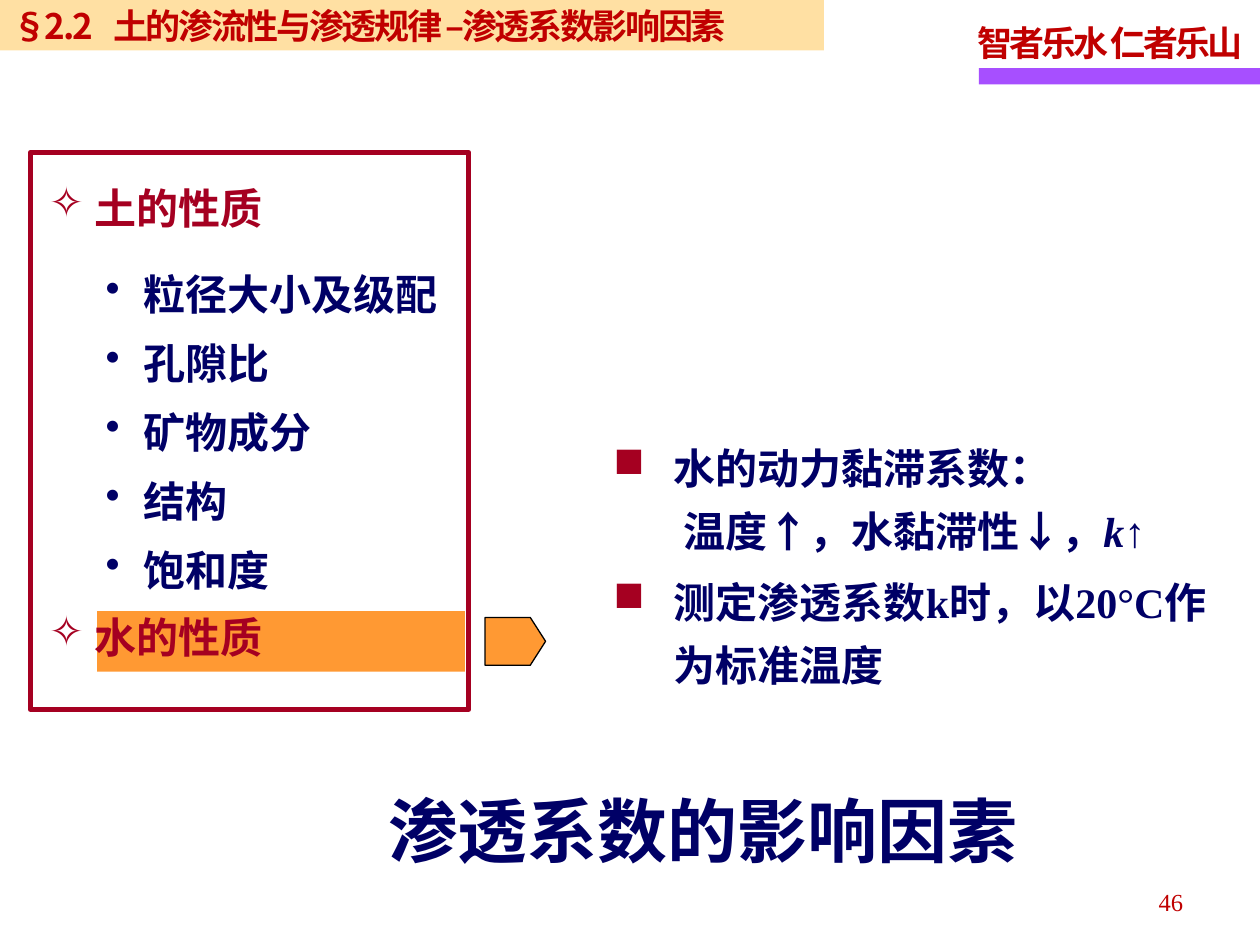
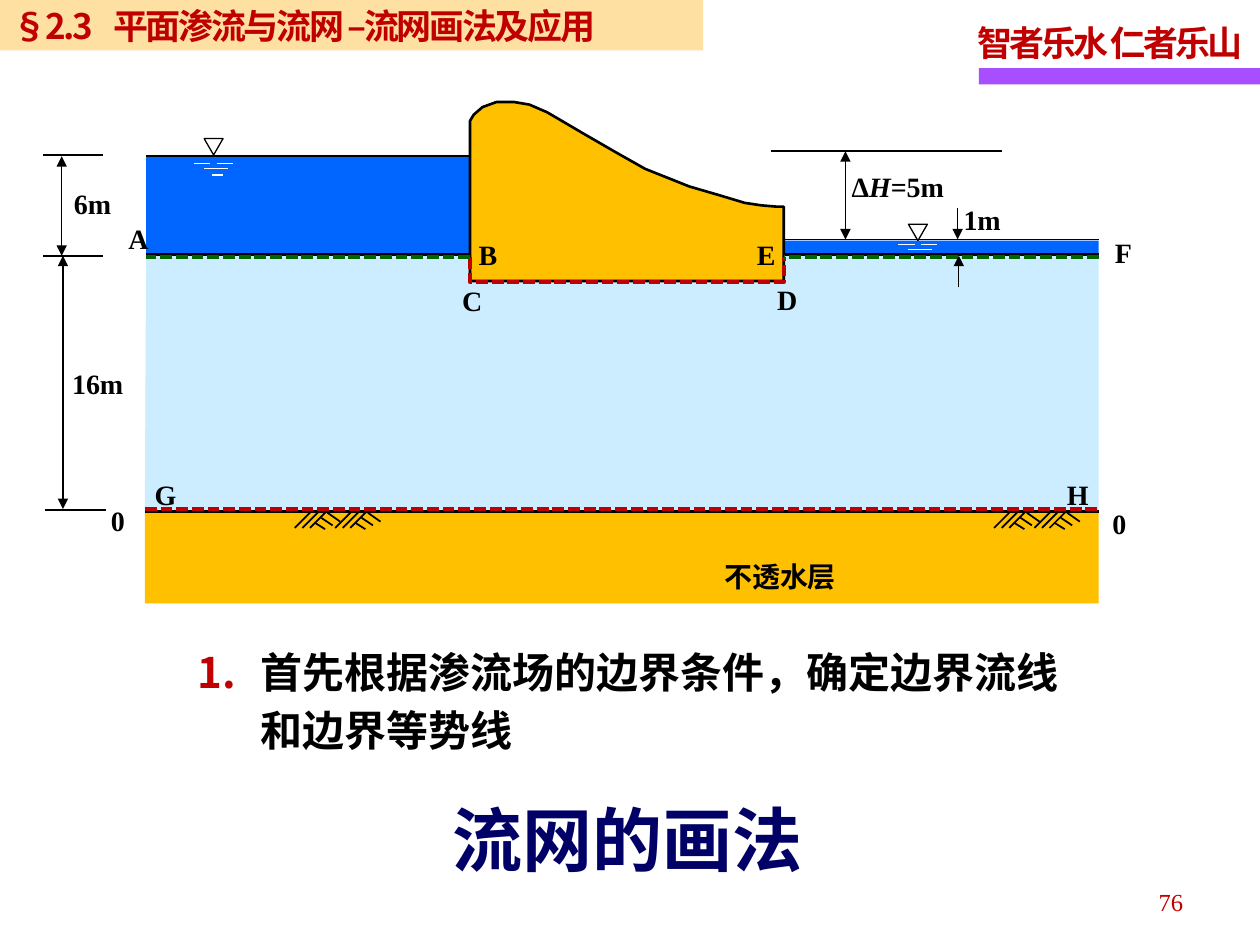
from dataclasses import dataclass
from typing import Any

from lxml import etree
from pptx import Presentation
from pptx.dml.color import RGBColor
from pptx.enum.dml import MSO_LINE
from pptx.enum.shapes import MSO_CONNECTOR, MSO_SHAPE
from pptx.enum.text import MSO_ANCHOR, MSO_AUTO_SIZE, PP_ALIGN
from pptx.oxml.ns import qn
from pptx.util import Inches, Pt

RECTANGLE, TRIANGLE, PENTAGON = MSO_SHAPE.RECTANGLE, MSO_SHAPE.ISOSCELES_TRIANGLE, MSO_SHAPE.PENTAGON
STRAIGHT, DASHED = MSO_CONNECTOR.STRAIGHT, MSO_LINE.SQUARE_DOT
LEFT, CENTER, RIGHT = PP_ALIGN.LEFT, PP_ALIGN.CENTER, PP_ALIGN.RIGHT
TOP, MIDDLE = MSO_ANCHOR.TOP, MSO_ANCHOR.MIDDLE
NO_AUTOFIT = MSO_AUTO_SIZE.NONE

SERIF, SANS = "Times New Roman", "Noto Sans CJK SC"
NAVY, RED, CRIMSON, PURPLE = "000066", "C00000", "A50021", "A74FFF"
CREAM, ORANGE, BLACK, WHITE = "FFCC66", "FF9933", "000000", "FFFFFF"
WATER, SOIL, ROCK, GREEN = "0066FF", "CCECFF", "FFC000", "006600"
CJK_LINE = 1.2


def rgb(value):
    """Turn a hex string into a colour."""
    return RGBColor.from_string(value)


def child(parent, tag, **attributes):
    """Append a drawing element with the given attributes."""
    return etree.SubElement(parent, qn(tag), attributes)


def set_bullet(paragraph, bullet, color, hang):
    """Give a paragraph a hanging bullet, or a number when the bullet is '1.'."""
    properties = paragraph._p.get_or_add_pPr()
    properties.set("marL", str(Inches(hang)))
    properties.set("indent", str(-Inches(hang)))
    if color:
        child(child(properties, "a:buClr"), "a:srgbClr", val=color)
    if bullet == "1.":
        child(properties, "a:buFont", typeface=SANS)
        child(properties, "a:buAutoNum", type="arabicPeriod")
    else:
        child(properties, "a:buChar", char=bullet)


def add_run(paragraph, text, size, color, font=SERIF, bold=True, italic=False, tracking=0):
    """Add one formatted run."""
    run = paragraph.add_run()
    run.text = text
    run.font.size, run.font.bold, run.font.italic = Pt(size), bold, italic
    run.font.color.rgb = rgb(color)
    run.font.name = font
    properties = run._r.get_or_add_rPr()
    child(properties, "a:ea", typeface=SANS)
    if tracking:
        properties.set("spc", str(int(tracking * 100)))


def fill_text(frame, paragraphs, size, color, align=LEFT, spacing=None, gap=0, bullet=None,
              bullet_color=None, hang=0, wrap=True, anchor=TOP, side=0.1, **style):
    """Fill a frame; a paragraph is a list of strings, '*' marks italics, a newline breaks."""
    frame.auto_size = NO_AUTOFIT
    frame.word_wrap, frame.vertical_anchor = wrap, anchor
    frame.margin_left = frame.margin_right = Inches(side)
    frame.margin_top = frame.margin_bottom = Inches(0.05)
    for index, pieces in enumerate(paragraphs):
        paragraph = frame.add_paragraph() if index else frame.paragraphs[0]
        paragraph.alignment = align
        if bullet:
            set_bullet(paragraph, bullet, bullet_color, hang)
        if spacing:
            paragraph.line_spacing = spacing
        paragraph.space_before = Pt(gap if index else 0)
        for piece in pieces:
            if piece == "\n":
                paragraph.add_line_break()
            else:
                add_run(paragraph, piece.lstrip("*"), size, color,
                        italic=piece.startswith("*"), **style)


def cjk_spacing(size, factor=1.0):
    """Line pitch for Chinese text of a size."""
    return Pt(round(size * CJK_LINE * factor, 1))


@dataclass
class Region:
    """A part of a slide whose contents are placed from its top left corner."""
    slide: Any
    left: float = 0
    top: float = 0

    def at(self, x, y):
        """Return a slide position for a point of the region."""
        return Inches(self.left + x), Inches(self.top + y)

    def finish(self, shape, fill=None, line=None, width=1.0):
        """Set fill and line of a shape and drop its shadow."""
        shape.shadow.inherit = False
        if fill:
            shape.fill.solid()
            shape.fill.fore_color.rgb = rgb(fill)
        else:
            shape.fill.background()
        if line:
            shape.line.color.rgb = rgb(line)
            shape.line.width = Pt(width)
        else:
            shape.line.fill.background()
        return shape

    def shape(self, kind, x, y, width, height, **look):
        """Add a preset shape."""
        shape = self.slide.shapes.add_shape(kind, *self.at(x, y), Inches(width), Inches(height))
        return self.finish(shape, look.get("fill"), look.get("line"), look.get("weight", 1))

    def outline(self, points, closed=True, **look):
        """Add a freeform through the points."""
        corners = [self.at(*point) for point in points]
        builder = self.slide.shapes.build_freeform(*corners[0])
        builder.add_line_segments(corners[1:], close=closed)
        return self.finish(builder.convert_to_shape(), **look)

    def text(self, x, y, width, height, paragraphs, size, color, **style):
        """Add a text box."""
        box = self.slide.shapes.add_textbox(*self.at(x, y), Inches(width), Inches(height))
        fill_text(box.text_frame, paragraphs, size, color, **style)

    def line(self, x1, y1, x2, y2, color=BLACK, width=1.0, dash=None, ends=()):
        """Add a straight line with triangles at the named ends."""
        line = self.slide.shapes.add_connector(STRAIGHT, *self.at(x1, y1), *self.at(x2, y2))
        line.line.color.rgb = rgb(color)
        line.line.width = Pt(width)
        if dash:
            line.line.dash_style = dash
        for end in ends:
            child(line.line._get_or_add_ln(), f"a:{end}End", type="triangle")
        child(line._element.spPr, "a:effectLst")


def add_frame(presentation, section, heading, band_width, number, title, title_box):
    """Add a slide with its section band, motto, title and page number."""
    slide = presentation.slides.add_slide(presentation.slide_layouts[5])
    page = Region(slide)
    page.shape(RECTANGLE, 7.77, 0.54, 2.23, 0.13, fill=PURPLE)
    page.text(7.66, 0.07, 2.36, 0.49, [["智者乐水 仁者乐山"]], 20, RED, wrap=False,
              spacing=cjk_spacing(20, 1.15), tracking=-1.7)
    band = page.shape(RECTANGLE, 0, 0, band_width, 0.4, fill=CREAM)
    child(band.fill._xPr.find(".//" + qn("a:srgbClr")), "a:alpha", val="60000")
    properties = band.text_frame.paragraphs[0]._p.get_or_add_pPr()
    child(child(properties, "a:tabLst"), "a:tab", pos=str(Inches(0.8)), algn="l")
    fill_text(band.text_frame, [[f"{section}\t{heading}"]], 20, RED, wrap=False,
              anchor=MIDDLE, font=SANS, tracking=-1.4)
    shape = slide.shapes.title
    shape.left, shape.top, shape.width, shape.height = [Inches(value) for value in title_box]
    fill_text(shape.text_frame, [[title]], 40, NAVY, wrap=False, font=SANS,
              spacing=cjk_spacing(40))
    page.text(7.16, 6.96, 2.33, 0.4, [[number]], 14, RED, align=RIGHT, bold=False, spacing=1.15)
    return slide


def add_factor_panel(slide, left, top):
    """Add the framed list of soil and water properties."""
    panel = Region(slide, left, top)
    panel.shape(RECTANGLE, 0.53, 3.64, 2.92, 0.48, fill=ORANGE)
    panel.text(0.05, 0.01, 2.04, 4.19, [["土的性质"], ["水的性质"]], 24, CRIMSON, font=SANS,
               bullet="✧", hang=0.36, spacing=cjk_spacing(24, 1.45), gap=203)
    panel.shape(RECTANGLE, 0, 0, 3.48, 4.42, line=CRIMSON, weight=3)
    factors = ["粒径大小及级配", "孔隙比", "矿物成分", "结构", "饱和度"]
    panel.text(0.5, 0.79, 2.96, 2.85, [[factor] for factor in factors], 24, NAVY,
               bullet="•", hang=0.3, spacing=cjk_spacing(24, 1.2), gap=4.8)


def add_water_notes(slide, left, top):
    """Add the pointer and the notes on viscosity."""
    notes = Region(slide, left, top)
    pointer = notes.shape(PENTAGON, 0, 1.54, 0.48, 0.38, fill=ORANGE, line=BLACK, weight=0.75)
    pointer.adjustments[0] = 0.32
    notes.text(0.92, 0, 4.99, 2.15,
               [["水的动力黏滞系数：", "\n", " 温度↑，水黏滞性↓，", "*k", "↑"],
                ["测定渗透系数k时，以20°C作为标准温度"]], 24, NAVY, bullet="■",
               bullet_color=CRIMSON, hang=0.48, spacing=cjk_spacing(24, 1.25), gap=4.8)


def add_water_level(slide, left, top, ripples):
    """Add a level triangle with the ripples below it."""
    level = Region(slide, left, top)
    level.shape(TRIANGLE, 0.08, 0, 0.15, 0.13, line=BLACK, weight=0.75).rotation = 180
    for start, end, depth in ripples:
        level.line(start, depth, end, depth, WHITE, 0.75)


def add_hatching(slide, left, top):
    """Add two repeats of the bedrock hatching."""
    for repeat in range(2):
        hatch = Region(slide, left + 0.32 * repeat, top)
        for step in range(3):
            hatch.line(0.13 + 0.06 * step, 0, 0.06 * step, 0.13)
            hatch.line(0.16 + 0.05 * step, 0.09 - 0.04 * step,
                       0.24 + 0.06 * step, 0.14 - 0.03 * step)


def add_section(slide, left, top):
    """Add the dam, the water on both sides, the soil and the bedrock."""
    section = Region(slide, left, top)
    heel, toe, end = 2.58, 5.07, 7.57
    ground, base, bedrock = 1.22, 1.43, 3.26
    section.shape(RECTANGLE, toe, 1.11, end - toe, 0.11, fill=WATER)
    section.shape(RECTANGLE, 0.01, 0.44, heel - 0.01, 0.78, fill=WATER)
    section.outline([(0.01, ground), (heel, ground), (heel, base), (toe, base), (toe, ground),
                     (end, ground), (end, bedrock), (0, bedrock)], fill=SOIL)
    section.shape(RECTANGLE, 0, bedrock, end, 0.73, fill=ROCK)
    crest = [(2.58, 0.16), (2.61, 0.11), (2.68, 0.05), (2.79, 0.01), (2.93, 0.01),
             (3.05, 0.03), (3.19, 0.09), (3.31, 0.16), (3.48, 0.26), (3.74, 0.41),
             (3.97, 0.54), (4.32, 0.68), (4.56, 0.75), (4.76, 0.81), (4.89, 0.83),
             (5.01, 0.84), (toe, 0.84)]
    section.outline([(heel, base)] + crest + [(toe, base)], fill=ROCK, line=BLACK, width=1.5)
    for start, stop, level, width in [(toe, end, ground, 1.5), (0.01, heel, ground, 1.5),
                                      (0.01, heel, 0.44, 1), (toe, end, 1.1, 1),
                                      (0, end, bedrock, 1.5)]:
        section.line(start, level, stop, level, BLACK, width)
    ripples = [(0, 0.13, 0.2), (0.18, 0.31, 0.2), (0.08, 0.27, 0.24), (0.14, 0.23, 0.29)]
    add_water_level(slide, left + 0.39, top + 0.3, ripples)
    add_water_level(slide, left + 5.98, top + 0.98,
                    [(start, stop, depth - 0.04) for start, stop, depth in ripples[:3]])
    for offset in (1.19, 6.74):
        add_hatching(slide, left + offset, top + bedrock)
    underside = section.outline([(heel, 1.24), (heel, 1.44), (toe, 1.44), (toe, 1.24)],
                                closed=False, line=RED, width=2.25)
    underside.line.dash_style = DASHED
    section.line(0, 3.24, end, 3.24, RED, 2.25, DASHED)
    section.line(heel, 1.24, 0.01, 1.24, GREEN, 2.25, DASHED)
    section.line(end, 1.24, toe, 1.24, GREEN, 2.25, DASHED)
    for letter, x, y in [("A", -0.23, 0.87), ("B", 2.55, 1), ("C", 2.42, 1.36),
                         ("D", 4.92, 1.35), ("E", 4.76, 1), ("F", 7.6, 0.98),
                         ("G", -0.02, 2.9), ("H", 7.22, 2.9)]:
        section.text(x, y, 0.36, 0.39, [[letter]], 16, BLACK, wrap=False, spacing=1.15)
    section.text(4.5, 3.55, 1.11, 0.38, [["不透水层"]], 16, BLACK, wrap=False,
                 spacing=cjk_spacing(16, 1.15))


def add_dimensions(slide, left, top):
    """Add the levels, dimension arrows and their values around the section."""
    dimensions = Region(slide, left, top)
    both, tail = ("head", "tail"), ("tail",)
    for start, stop, level in [(-0.81, -0.33, 0.43), (-0.81, -0.33, 1.23),
                               (-0.79, -0.31, 3.25), (4.97, 6.8, 0.4)]:
        dimensions.line(start, level, stop, level)
    for x, start, stop, ends in [(-0.66, 0.44, 1.23, both), (-0.65, 1.23, 3.24, both),
                                 (5.56, 0.4, 1.1, both), (6.45, 0.85, 1.1, tail),
                                 (6.46, 1.48, 1.23, tail)]:
        dimensions.line(x, start, x, stop, BLACK, 0.75, ends=ends)
    for x, y, width, pieces in [(-0.67, 0.59, 0.51, ["6m"]), (-0.63, 2.02, 0.51, ["16m"]),
                                (5.55, 0.46, 0.85, ["Δ", "*H", "=5m"]),
                                (6.44, 0.72, 0.41, ["1m"]), (-0.27, 3.11, 0.11, ["0"]),
                                (7.68, 3.13, 0.11, ["0"])]:
        dimensions.text(x, y, width, 0.39, [pieces], 16, BLACK, align=CENTER, wrap=False,
                        side=0, spacing=1.15)


def add_step(slide, left, top):
    """Add the numbered drawing step."""
    Region(slide, left, top).text(
        0, 0, 7.09, 1.03, [["首先根据渗流场的边界条件，确定边界流线和边界等势线"]], 24, BLACK,
        bullet="1.", bullet_color=RED, hang=0.5, spacing=cjk_spacing(24, 1.15))


def main():
    """Build both slides and save them."""
    presentation = Presentation()
    presentation.slide_width, presentation.slide_height = Inches(10), Inches(7.5)

    factors = add_frame(presentation, "§2.2", "土的渗流性与渗透规律 –渗透系数影响因素", 6.54, "46",
                        "渗透系数的影响因素", (2.98, 6.2, 5.23, 0.77))
    add_factor_panel(factors, 0.24, 1.21)
    add_water_notes(factors, 3.85, 3.36)

    flow_net = add_frame(presentation, "§2.3", "平面渗流与流网 –流网画法及应用", 5.58, "76",
                         "流网的画法", (3.49, 6.27, 2.99, 0.77))
    add_section(flow_net, 1.15, 0.8)
    add_dimensions(flow_net, 1.15, 0.8)
    add_step(flow_net, 1.47, 5.02)

    presentation.save("out.pptx")


if __name__ == "__main__":
    main()
